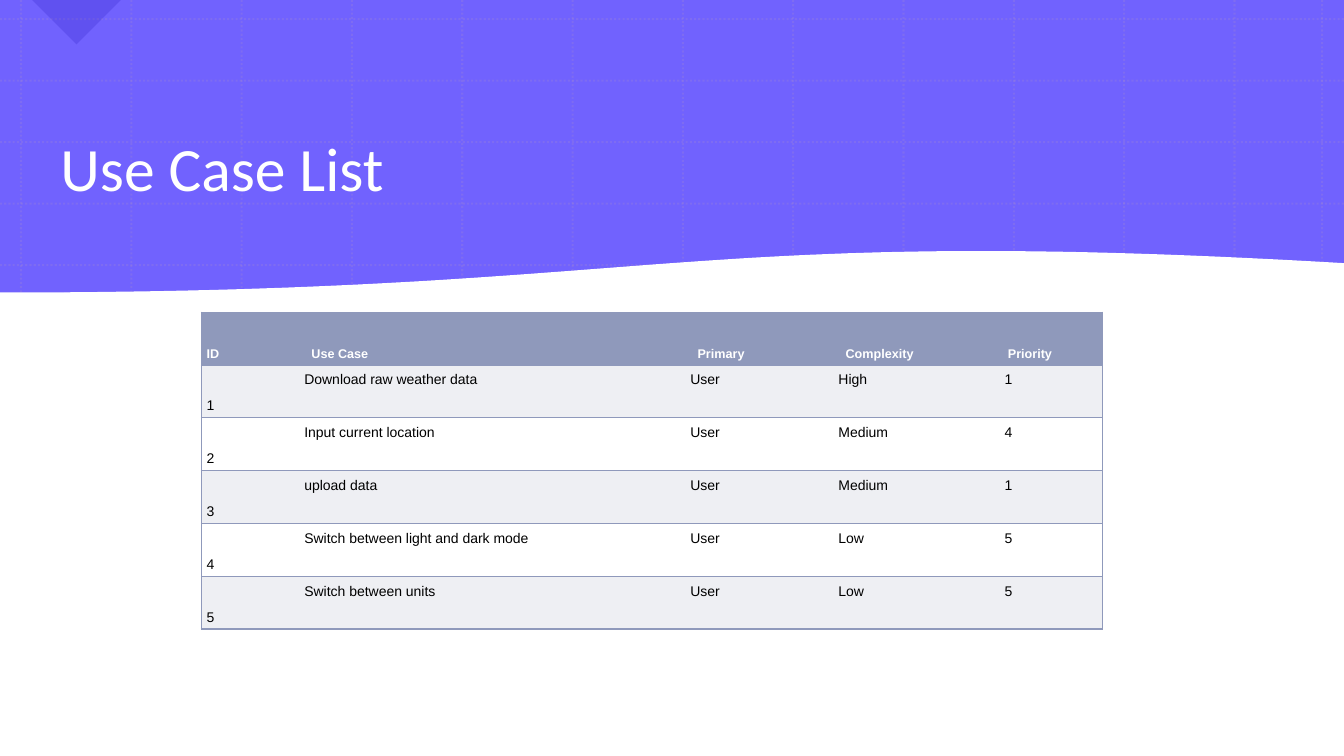
from lxml.etree import SubElement
from pptx import Presentation
from pptx.dml.color import RGBColor
from pptx.enum.dml import MSO_LINE_DASH_STYLE as Dash
from pptx.enum.shapes import MSO_CONNECTOR as Connector, MSO_SHAPE as Shape
from pptx.enum.text import MSO_ANCHOR as Anchor, MSO_AUTO_SIZE as AutoSize, PP_ALIGN as Align
from pptx.oxml.ns import qn
from pptx.util import Cm, Pt

VIOLET = RGBColor(0x71, 0x62, 0xFE)
INDIGO = RGBColor(0x12, 0x01, 0xAF)
MAUVE = RGBColor(0xB4, 0x95, 0xC2)
SLATE = RGBColor(0x8F, 0x99, 0xBB)
MIST = RGBColor(0xEE, 0xEF, 0xF3)
WHITE = RGBColor(0xFF, 0xFF, 0xFF)
BLACK = RGBColor(0x00, 0x00, 0x00)

PAGE_WIDTH, PAGE_HEIGHT = 33.87, 19.05

USE_CASES = [
    ("ID", "Use Case", "Primary", "Complexity", "Priority"),
    ("1", "Download raw weather data", "User", "High", "1"),
    ("2", "Input current location", "User", "Medium", "4"),
    ("3", "upload data", "User", "Medium", "1"),
    ("4", "Switch between light and dark mode", "User", "Low", "5"),
    ("5", "Switch between units", "User", "Low", "5"),
]
COLUMN_WIDTHS = [2.46, 9.73, 3.73, 4.19, 2.59]
HEADER_INDENTS = [0.13, 0.31, 0.31, 0.31, 0.21]


def apply(target, values):
    for name, value in values.items():
        setattr(target, name, value)


def set_alpha(fill_parent, percent):
    color = next(fill_parent.iter(qn("a:srgbClr")))
    SubElement(color, qn("a:alpha"), val=str(percent * 1000))


class UseCasePage:
    title_font = {"name": "Calibri", "size": Pt(44), "bold": False}
    header_font = {"name": "Arial", "size": Pt(9), "bold": True}
    body_font = {"name": "Arial", "size": Pt(10), "bold": False}

    def __init__(self, deck):
        self.page = deck.slides.add_slide(deck.slide_layouts[5])
        self.shapes = self.page.shapes

    def paint(self, shape, color):
        shape.shadow.inherit = False
        shape.fill.solid()
        shape.fill.fore_color.rgb = color
        shape.line.fill.background()

    def shape(self, kind, left, top, width, height, color, alpha=100, rotation=0):
        shape = self.shapes.add_shape(kind, Cm(left), Cm(top), Cm(width), Cm(height))
        shape.rotation = rotation
        self.paint(shape, color)
        set_alpha(shape._element.spPr, alpha)

    def grid(self, columns, rows):
        group = self.shapes.add_group_shape()
        ends = [(x, 0, x, PAGE_HEIGHT) for x in columns]
        ends += [(0, y, PAGE_WIDTH, y) for y in rows]
        for points in ends:
            line = group.shapes.add_connector(Connector.STRAIGHT, *map(Cm, points))
            line.line.color.rgb = MAUVE
            apply(line.line, {"width": Pt(1.5), "dash_style": Dash.ROUND_DOT})
            properties = line._element.spPr
            set_alpha(properties, 20)
            SubElement(properties, qn("a:effectLst"))

    def wave(self, start, control_a, control_b, end, steps=60):
        curve = []
        for step in range(steps + 1):
            t = step / steps
            weights = ((1 - t) ** 3, 3 * t * (1 - t) ** 2, 3 * t * t * (1 - t), t ** 3)
            corners = zip(start, control_a, control_b, end)
            curve.append([Cm(sum(w * v for w, v in zip(weights, axis))) for axis in corners])
        builder = self.shapes.build_freeform(Cm(start[0]), Cm(PAGE_HEIGHT))
        builder.add_line_segments(curve + [(Cm(end[0]), Cm(PAGE_HEIGHT))])
        wave = builder.convert_to_shape()
        self.paint(wave, WHITE)
        wave.line.color.rgb = WHITE
        wave.line.width = Pt(1)

    def label(self, frame, text, font, color, **paragraph_format):
        para = frame.paragraphs[0]
        apply(para, paragraph_format)
        span = para.add_run()
        span.text = text
        apply(span.font, font)
        span.font.color.rgb = color

    def title(self, text, left, top, width, height):
        box = self.shapes.title
        apply(box, {"left": Cm(left), "top": Cm(top), "width": Cm(width), "height": Cm(height)})
        apply(box.text_frame, {"vertical_anchor": Anchor.MIDDLE, "word_wrap": True,
                               "auto_size": AutoSize.NONE})
        self.label(box.text_frame, text, self.title_font, WHITE,
                   alignment=Align.LEFT, line_spacing=0.9)
        self.shapes._spTree.append(box._element)

    def border(self, cell, sides):
        properties = cell._tc.get_or_add_tcPr()
        for side in "LRTB":
            line = SubElement(properties, qn(f"a:ln{side}"), w=str(Pt(1)))
            if side in sides:
                fill = SubElement(line, qn("a:solidFill"))
                SubElement(fill, qn("a:srgbClr"), val=str(SLATE))
            else:
                SubElement(line, qn("a:noFill"))

    def table(self, records, widths, left, top, row_height):
        frame = self.shapes.add_table(len(records), len(widths), Cm(left), Cm(top),
                                      Cm(sum(widths)), Cm(row_height * len(records)))
        table = frame.table
        apply(table, {"first_row": False, "horz_banding": False})
        for column, width in zip(table.columns, widths):
            column.width = Cm(width)
        for r, record in enumerate(records):
            table.rows[r].height = Cm(row_height)
            for c, text in enumerate(record):
                self.cell(table.cell(r, c), r, c, text)

    def cell(self, cell, r, c, text):
        header = r == 0
        last = len(COLUMN_WIDTHS) - 1
        self.border(cell, "TB" + {0: "L", last: "R"}.get(c, ""))
        cell.fill.solid()
        cell.fill.fore_color.rgb = SLATE if header else (WHITE, MIST)[r % 2]
        apply(cell, {
            "margin_left": Cm(HEADER_INDENTS[c] if header else 0.13),
            "margin_right": Cm(0.13), "margin_top": Cm(0.1), "margin_bottom": Cm(0.1),
            "vertical_anchor": Anchor.BOTTOM if header or c == 0 else Anchor.TOP,
        })
        self.label(cell.text_frame, text,
                   self.header_font if header else self.body_font,
                   WHITE if header else BLACK,
                   line_spacing=Pt(14.2 if header else 13.5))


def main():
    deck = Presentation()
    apply(deck, {"slide_width": Cm(PAGE_WIDTH), "slide_height": Cm(PAGE_HEIGHT)})
    page = UseCasePage(deck)
    page.shape(Shape.RECTANGLE, 0, 0, PAGE_WIDTH, PAGE_HEIGHT, VIOLET)
    page.grid([0.53 + 2.78 * i for i in range(12)] + [33.32],
              [0.48 + 1.55 * i for i in range(11)] + [17.35, 18.57])
    page.shape(Shape.RIGHT_TRIANGLE, 1.14, -0.79, 1.58, 1.58, INDIGO, alpha=17, rotation=315)
    page.wave((0, 7.39), (16.89, 7.39), (16.99, 5.66), (PAGE_WIDTH, 6.65))
    page.title("Use Case List", 1.27, 2.01, 29.85, 4.65)
    page.table(USE_CASES, COLUMN_WIDTHS, 5.08, 7.87, 1.33)
    deck.save("out.pptx")


if __name__ == "__main__":
    main()
